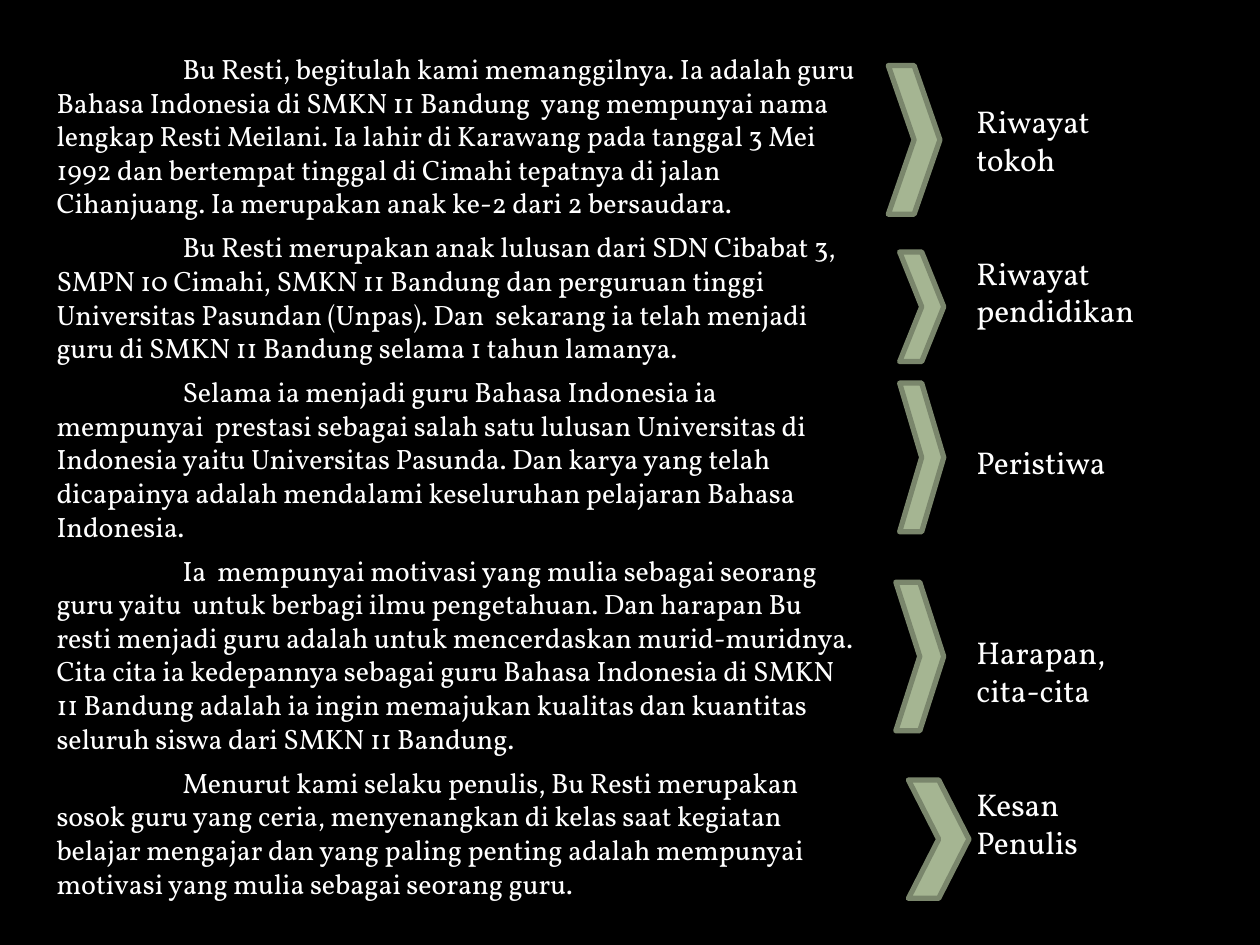
"""Builds a slide that labels the parts of a teacher's biography."""
from pptx import Presentation
from pptx.dml.color import RGBColor
from pptx.enum import shapes, text
from pptx.util import Inches, Pt

THEME = {
    "font": "Vollkorn",
    "background": RGBColor.from_string("000000"),
    "text": RGBColor.from_string("FFFFFF"),
    "chevron": RGBColor.from_string("A5B592"),
    "outline": RGBColor.from_string("7A866C"),
    "body": Pt(16),
    "label": Pt(18),
    "label_line": 21.75,
}

BIOGRAPHY = [
    "Bu Resti, begitulah kami memanggilnya. Ia adalah guru Bahasa Indonesia di "
    "SMKN 11 Bandung  yang mempunyai nama lengkap Resti Meilani. Ia lahir di "
    "Karawang pada tanggal 3 Mei 1992 dan bertempat tinggal di Cimahi tepatnya di "
    "jalan Cihanjuang. Ia merupakan anak ke-2 dari 2 bersaudara.",
    "Bu Resti merupakan anak lulusan dari SDN Cibabat 3, SMPN 10 Cimahi, SMKN 11 "
    "Bandung dan perguruan tinggi Universitas Pasundan (Unpas). Dan  sekarang ia "
    "telah menjadi guru di SMKN 11 Bandung selama 1 tahun lamanya.",
    "Selama ia menjadi guru Bahasa Indonesia ia mempunyai  prestasi sebagai salah "
    "satu lulusan Universitas di Indonesia yaitu Universitas Pasunda. Dan karya yang "
    "telah dicapainya adalah mendalami keseluruhan pelajaran Bahasa Indonesia.",
    "Ia  mempunyai motivasi yang mulia sebagai seorang guru yaitu  untuk berbagi ilmu "
    "pengetahuan. Dan harapan Bu resti menjadi guru adalah untuk mencerdaskan "
    "murid-muridnya. Cita cita ia kedepannya sebagai guru Bahasa Indonesia di SMKN 11 "
    "Bandung adalah ia ingin memajukan kualitas dan kuantitas seluruh siswa dari "
    "SMKN 11 Bandung.",
    "Menurut kami selaku penulis, Bu Resti merupakan sosok guru yang ceria, "
    "menyenangkan di kelas saat kegiatan belajar mengajar dan yang paling penting "
    "adalah mempunyai motivasi yang mulia sebagai seorang guru.",
]

LABELS = [
    ("Riwayat tokoh", 0),
    ("Riwayat pendidikan", 2),
    ("Peristiwa", 3),
    ("Harapan, cita-cita", 4),
    ("Kesan Penulis", 2),
]

CHEVRONS = [
    (7.05, 0.52, 0.41, 1.18),
    (7.14, 2, 0.35, 0.87),
    (7.14, 3.04, 0.35, 1.18),
    (7.11, 4.62, 0.38, 1.18),
    (7.21, 6.19, 0.48, 0.94),
]


def add_text(s, box, paragraphs, size, indent=0):
    """Adds a text box from pairs of wording and space before."""
    tf = s.shapes.add_textbox(*map(Inches, box)).text_frame
    tf.word_wrap = True
    tf.vertical_anchor = text.MSO_ANCHOR.TOP
    for i, (wording, space) in enumerate(paragraphs):
        p = tf.add_paragraph() if i else tf.paragraphs[0]
        p.space_before = Pt(space)
        if indent:
            pPr = p._p.get_or_add_pPr()
            pPr.set("marL", "0")
            pPr.set("indent", str(Inches(indent)))
        r = p.add_run()
        r.text = wording
        for key, value in {"name": THEME["font"], "size": size}.items():
            setattr(r.font, key, value)
        r.font.color.rgb = THEME["text"]


def add_chevron(s, box):
    """Adds one outlined chevron."""
    sp = s.shapes.add_shape(shapes.MSO_SHAPE.CHEVRON, *map(Inches, box))
    sp.shadow.inherit = False
    sp.fill.solid()
    sp.fill.fore_color.rgb = THEME["chevron"]
    sp.line.color.rgb = THEME["outline"]
    sp.line.width = Pt(3)


prs = Presentation()
prs.slide_width, prs.slide_height = Inches(10), Inches(7.5)
s = prs.slides.add_slide(prs.slide_layouts[6])
s.background.fill.solid()
s.background.fill.fore_color.rgb = THEME["background"]

add_text(s, (0.35, 0.36, 6.55, 6.61), [(t, 6) for t in BIOGRAPHY], THEME["body"], 1)
for box in CHEVRONS:
    add_chevron(s, box)
labels = [(t, lines * THEME["label_line"]) for t, lines in LABELS]
add_text(s, (7.65, 0.76, 1.64, 6.16), labels, THEME["label"])

prs.save("out.pptx")
